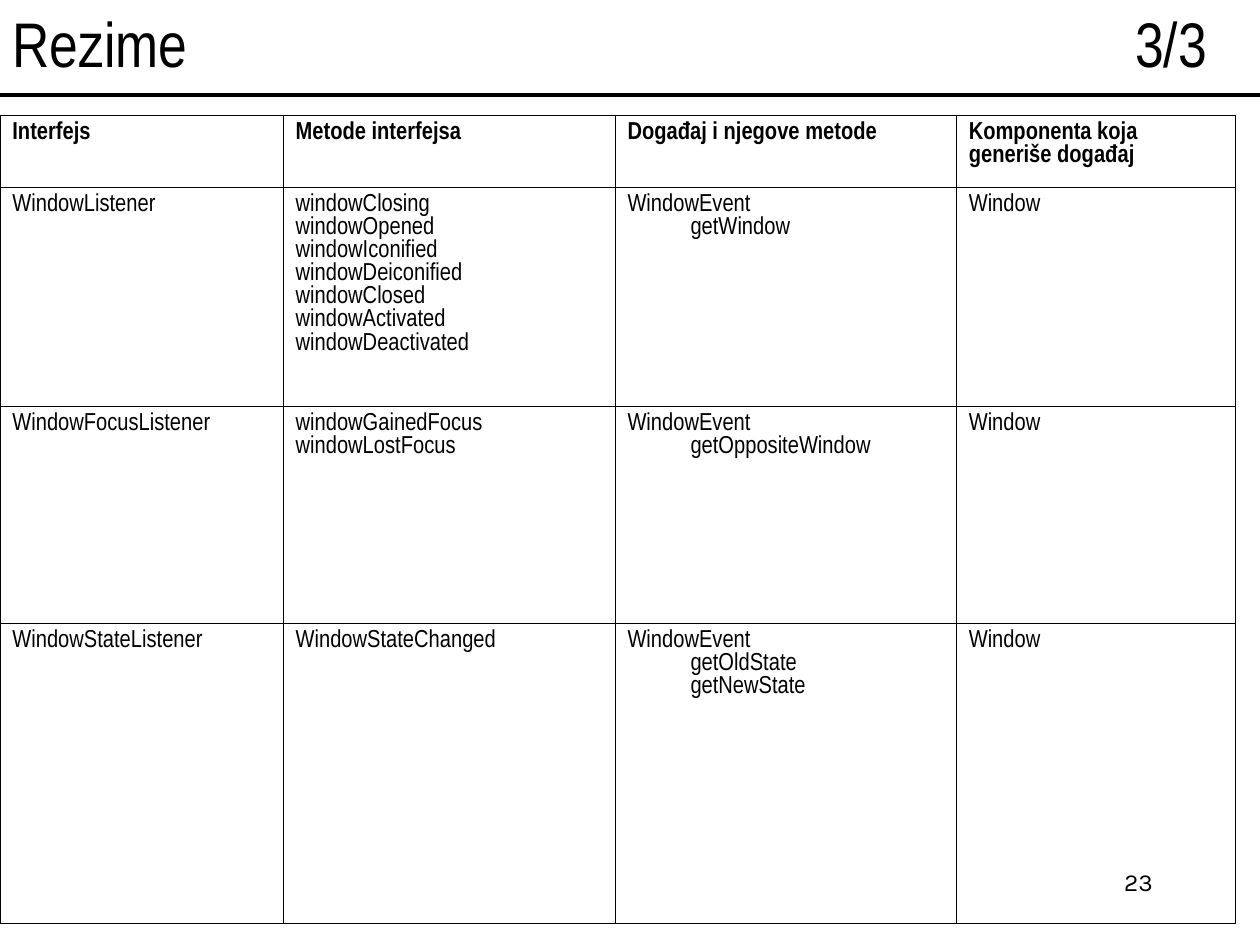
from lxml import etree
from pptx import Presentation
from pptx.dml.color import RGBColor
from pptx.enum.shapes import MSO_CONNECTOR
from pptx.enum.text import MSO_ANCHOR, PP_ALIGN
from pptx.oxml.ns import qn
from pptx.util import Cm, Pt

LEFT, RIGHT = PP_ALIGN.LEFT, PP_ALIGN.RIGHT
MIDDLE, TOP = MSO_ANCHOR.MIDDLE, MSO_ANCHOR.TOP
STRAIGHT = MSO_CONNECTOR.STRAIGHT

BLACK = "000000"
NARROW = "Arial Narrow"
TITLE, COUNT, PAGE = "Rezime", "3/3", "23"

HEADS = ["Interfejs", "Metode interfejsa", "Događaj i njegove metode",
         "Komponenta koja generiše događaj"]
# interface, its methods, event followed by its methods, component
ROWS = [
    (["WindowListener"],
     ["windowClosing", "windowOpened", "windowIconified",
      "windowDeiconified", "windowClosed", "windowActivated",
      "windowDeactivated"],
     ["WindowEvent", "getWindow"],
     ["Window"]),
    (["WindowFocusListener"],
     ["windowGainedFocus", "windowLostFocus"],
     ["WindowEvent", "getOppositeWindow"],
     ["Window"]),
    (["WindowStateListener"],
     ["WindowStateChanged"],
     ["WindowEvent", "getOldState", "getNewState"],
     ["Window"]),
]
EVENT = 2
WIDTHS = [5.71, 6.69, 6.88, 5.63]
HEIGHTS = [1.45, 4.4, 4.38, 6.05]
INSETS = {"margin_left": Cm(0.25), "margin_right": Cm(0.25),
          "margin_top": Cm(0.13), "margin_bottom": Cm(0.13)}


def color(code):
    return RGBColor.from_string(code)


def assign(item, values):
    for name, value in values.items():
        setattr(item, name, value)


def write(para, text, size, face=NARROW, bold=False):
    run = para.add_run()
    run.text = text
    assign(run.font, {"size": Pt(size), "name": face, "bold": bold})
    run.font.color.rgb = color(BLACK)


def indent(para, left, first):
    props = para._p.get_or_add_pPr()
    props.set("marL", str(Cm(left)))
    props.set("indent", str(Cm(first)))


def border(cell, code, width):
    props = cell._tc.get_or_add_tcPr()
    for spot, side in enumerate(("lnL", "lnR", "lnT", "lnB")):
        line = etree.Element(qn("a:" + side), w=str(Pt(width)))
        fill = etree.SubElement(line, qn("a:solidFill"))
        etree.SubElement(fill, qn("a:srgbClr"), val=code)
        props.insert(spot, line)


def fill_cell(cell, lines, col, head):
    assign(cell, {**INSETS, "vertical_anchor": TOP})
    cell.fill.background()
    border(cell, BLACK, 0.45)
    frame = cell.text_frame
    for n, text in enumerate(lines):
        para = frame.add_paragraph() if n else frame.paragraphs[0]
        if col == EVENT and n:
            para.level = 1
            indent(para, 1.27, 0)
        elif col != EVENT and not head:
            indent(para, 0.95, -0.95)
        write(para, text, 14, bold=head)


def add_title(slide):
    title = slide.shapes.title
    assign(title, {"left": 0, "top": 0, "width": Cm(25.4), "height": Cm(1.72)})
    frame = title.text_frame
    assign(frame, {**INSETS, "vertical_anchor": MIDDLE, "word_wrap": True})
    para = frame.paragraphs[0]
    para.alignment = LEFT
    write(para, TITLE + "\t" + COUNT, 36)
    tabs = etree.SubElement(para._p.get_or_add_pPr(), qn("a:tabLst"))
    etree.SubElement(tabs, qn("a:tab"), pos=str(Cm(24.08)), algn="r")


def add_rule(slide):
    rule = slide.shapes.add_connector(STRAIGHT, 0, Cm(1.92), Cm(25.4), Cm(1.92))
    rule.line.width = Pt(2)
    rule.line.color.rgb = color(BLACK)
    etree.SubElement(rule._element.spPr, qn("a:effectLst"))


def add_page(slide):
    box = slide.shapes.add_textbox(Cm(18.21), Cm(17.35), Cm(5.28), Cm(1.27))
    frame = box.text_frame
    assign(frame, {**INSETS, "word_wrap": True})
    para = frame.paragraphs[0]
    para.alignment = RIGHT
    write(para, PAGE, 14, "Karla")


def add_grid(slide):
    grid = slide.shapes.add_table(
        len(HEIGHTS), len(WIDTHS), 0, Cm(2.32),
        Cm(sum(WIDTHS)), Cm(sum(HEIGHTS))).table
    assign(grid, {"first_row": False, "horz_banding": False})
    for col, width in zip(grid.columns, WIDTHS):
        col.width = Cm(width)
    for row, height in zip(grid.rows, HEIGHTS):
        row.height = Cm(height)
    for r, row in enumerate([[[head] for head in HEADS], *ROWS]):
        for c, lines in enumerate(row):
            fill_cell(grid.cell(r, c), lines, c, r == 0)


def main():
    deck = Presentation()
    deck.slide_width, deck.slide_height = Cm(25.4), Cm(19.05)
    slide = deck.slides.add_slide(deck.slide_layouts[5])
    for build in (add_rule, add_page, add_title, add_grid):
        build(slide)
    deck.save("out.pptx")


if __name__ == "__main__":
    main()
